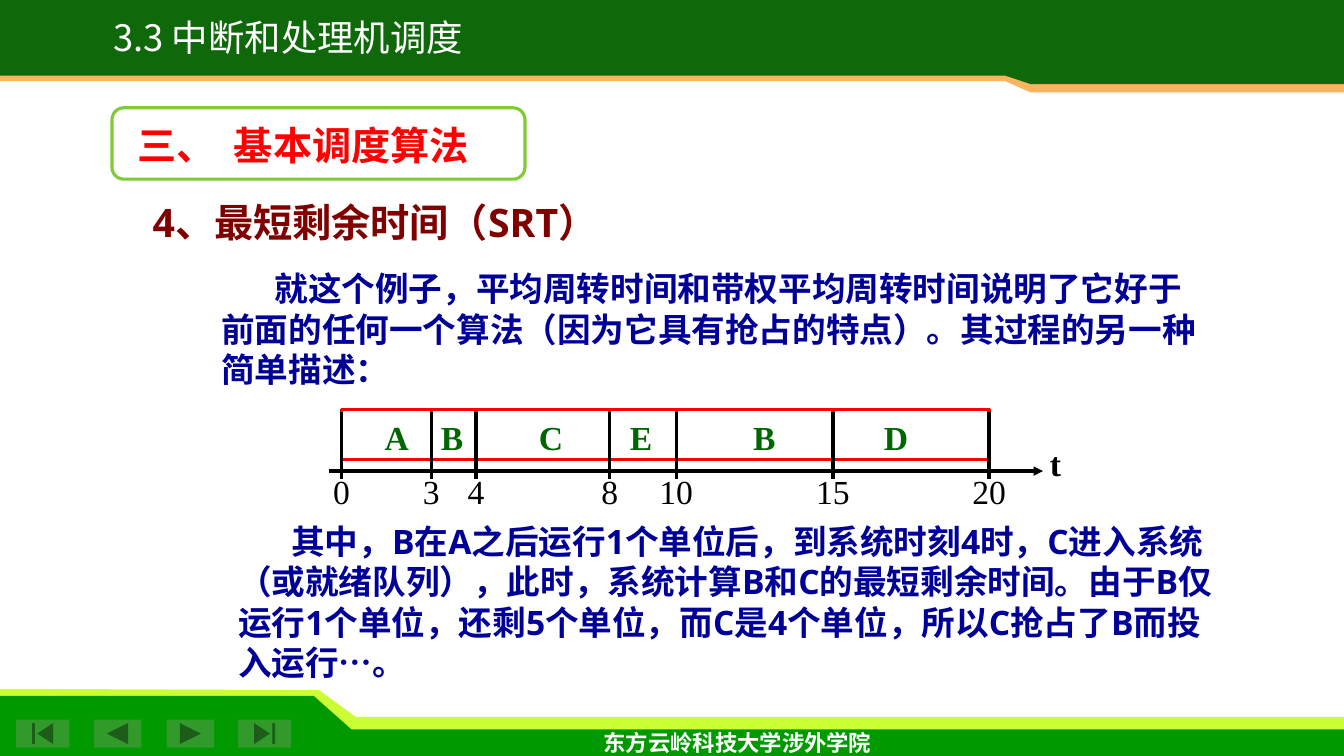
from lxml import etree
from pptx import Presentation
from pptx.dml.color import RGBColor
from pptx.enum.shapes import MSO_CONNECTOR, MSO_SHAPE
from pptx.enum.text import PP_ALIGN
from pptx.oxml.ns import qn
from pptx.util import Pt

LEFT, CENTER = PP_ALIGN.LEFT, PP_ALIGN.CENTER
STRAIGHT = MSO_CONNECTOR.STRAIGHT
RECT, ROUND = MSO_SHAPE.RECTANGLE, MSO_SHAPE.ROUNDED_RECTANGLE
FIRST, BACK = MSO_SHAPE.ACTION_BUTTON_BEGINNING, MSO_SHAPE.ACTION_BUTTON_BACK_OR_PREVIOUS
NEXT, LAST = MSO_SHAPE.ACTION_BUTTON_FORWARD_OR_NEXT, MSO_SHAPE.ACTION_BUTTON_END
SANS, SERIF, HAN = "Open Sans", "Times New Roman", "Noto Sans CJK SC"
BLACK, WHITE, RED, NAVY = "000000", "FFFFFF", "FF0000", "000099"


def color(code):
    return RGBColor.from_string(code)


class Deck:
    def __init__(self):
        self.prs = Presentation()
        self.prs.slide_width, self.prs.slide_height = Pt(960), Pt(540)
        self.slide = self.prs.slides.add_slide(self.prs.slide_layouts[6])
        self.shapes = self.slide.shapes
        self.width = Pt(2.25)

    def paint(self, shape, fill, line=None):
        shape.shadow.inherit = False
        shape.fill.solid()
        shape.fill.fore_color.rgb = color(fill)
        if line:
            shape.line.color.rgb = color(line)
            shape.line.width = self.width
        else:
            shape.line.fill.background()

    def shape(self, kind, x, y, w, h, fill, line=None):
        item = self.shapes.add_shape(kind, Pt(x), Pt(y), Pt(w), Pt(h))
        self.paint(item, fill, line)

    def band(self, points, fill):
        pen = self.shapes.build_freeform(*points[0], scale=Pt(1))
        pen.add_line_segments(points[1:], close=True)
        self.paint(pen.convert_to_shape(), fill)

    def line(self, x1, y1, x2, y2, arrow=False):
        item = self.shapes.add_connector(STRAIGHT, Pt(x1), Pt(y1), Pt(x2), Pt(y2))
        item.line.color.rgb = color(BLACK)
        item.line.width = self.width
        if arrow:
            etree.SubElement(item.line._get_or_add_ln(), qn("a:tailEnd"), type="triangle")
        etree.SubElement(item._element.spPr, qn("a:effectLst"))

    def text(self, x, y, w, h, runs, size, tint, bold=True, align=LEFT,
             wrap=True, space=1.0, margin=0, indent=0):
        """Each run is a pair of words and font."""
        frame = self.shapes.add_textbox(Pt(x), Pt(y), Pt(w), Pt(h)).text_frame
        frame.word_wrap = wrap
        para = frame.paragraphs[0]
        para.alignment, para.line_spacing = align, space
        props = para._p.get_or_add_pPr()
        props.set("marL", str(Pt(margin)))
        props.set("indent", str(Pt(indent)))
        for words, face in runs:
            run = para.add_run()
            run.text = words
            font = run.font
            font.name, font.size, font.bold = face, Pt(size), bold
            font.color.rgb = color(tint)
            etree.SubElement(run._r.get_or_add_rPr(), qn("a:ea"), typeface=HAN)

    def label(self, words, mid, y, tint=BLACK, bold=True):
        self.text(mid - 25, y, 50, 36, [(words, SERIF)], 24, tint, bold, CENTER)


deck = Deck()

# Footer bands and buttons
deck.band([(0, 492.5), (228, 493), (253.5, 512), (960, 512), (960, 533), (0, 533)], "CCFF33")
deck.band([(0, 497), (224, 497), (251, 521), (960, 521), (960, 540), (0, 540)], "009900")
for kind, x, w in [(FIRST, 11.5, 38), (BACK, 67, 34), (NEXT, 119, 34), (LAST, 170, 38)]:
    deck.shape(kind, x, 514, w, 20, "329A2A")
deck.text(424, 517, 208, 27, [("东方云岭科技大学涉外学院", SANS)], 16, WHITE, wrap=False)

# Header bands and title
deck.band([(0, 0), (960, 0), (960, 65.5), (736.5, 65.5), (718.5, 58.5), (0, 58.5)], "FBB561")
deck.band([(0, 0), (960, 0), (960, 60.5), (736.5, 60), (718.5, 54), (0, 53.5)], "0F690B")
deck.text(27.5, 13.5, 357, 33, [("3.3 中断和处理机调度", HAN)], 26, WHITE,
          bold=False, align=CENTER, wrap=False, space=0.8)

# Section and topic headings
deck.shape(ROUND, 80, 77, 295, 51, WHITE, "80CB35")
deck.text(91, 83, 306, 41, [("三、\t基本调度算法", SERIF)], 28, RED, margin=69, indent=-69)
deck.text(102, 142, 363, 42, [("4、最短剩余时间（SRT）", SANS)], 28, "800000", space=0.9)

# Body paragraphs
intro = "就这个例子，平均周转时间和带权平均周转时间说明了它好于前面的任何一个算法（因为它具有抢占的特点）。其过程的另一种简单描述："
story = ("其中，B在A之后运行1个单位后，到系统时刻4时，C进入系统（或就绪队列），此时，系统计算B和C的最短剩余时间。"
         "由于B仅运行1个单位，还剩5个单位，而C是4个单位，所以C抢占了B而投入运行")
deck.text(151, 188, 714, 94, [(intro, SANS)], 24, NAVY, indent=38)
deck.text(163, 368.5, 714, 124, [(story, SANS), ("…", HAN), ("。", SANS)], 24, NAVY, indent=38)

# Schedule bar on its time axis
ticks = [(0, 244), (3, 308), (4, 340), (8, 435.5), (10, 483), (15, 595), (20, 706.5)]
jobs = [("A", 283.5), ("B", 323), ("C", 393.5), ("E", 458), ("B", 546), ("D", 640)]
deck.line(235, 336.5, 745, 336.5, arrow=True)
for (job, mid), (_, start), (_, end) in zip(jobs, ticks, ticks[1:]):
    deck.shape(RECT, start, 292.5, end - start, 36, WHITE, RED)
    deck.label(job, mid, 294, "006600")
for time, x in ticks:
    deck.line(x, 294.5, x, 342.5)
    deck.label(str(time), x, 333, bold=False)
deck.label("t", 754, 313)

deck.prs.save("out.pptx")
